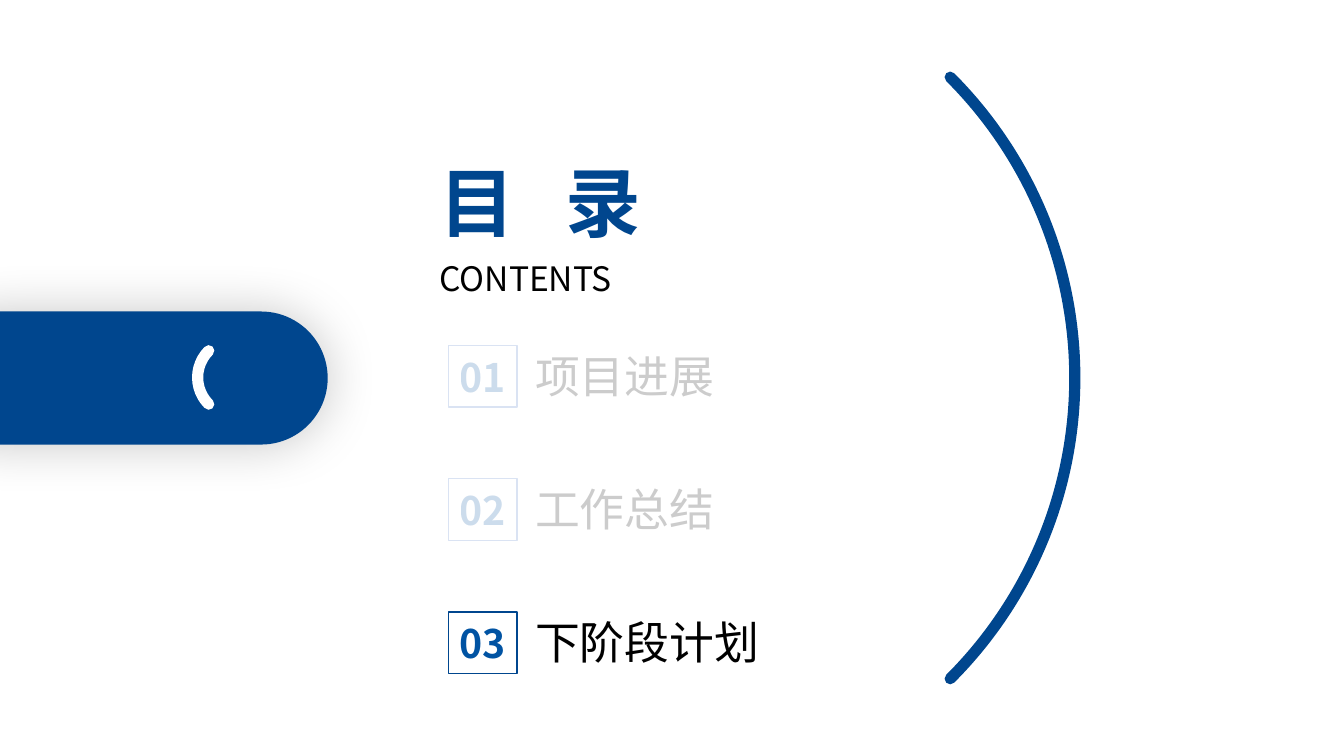
from pptx import Presentation
from pptx import util as u
from pptx.dml.color import RGBColor
from pptx.enum import shapes, text
from pptx.oxml import ns
from lxml import etree

FONT = "Noto Sans CJK SC"
NAVY, BLUE, PALE, BLACK, WHITE = "00468E", "0053A3", "DAE3F3", "000000", "FFFFFF"
SHAPE = shapes.MSO_SHAPE
ALIGN = text.PP_ALIGN


def color(value):
    """Turn a hex string into a colour."""
    return RGBColor.from_string(value)


def box_lengths(box):
    """Turn left, top, width and height in inches into lengths."""
    return [u.Inches(value) for value in box]


def add_element(parent, tag, **attributes):
    """Append a DrawingML element with the given attributes."""
    element = etree.SubElement(parent, ns.qn(tag))
    for name, value in attributes.items():
        element.set(name, str(value))
    return element


def write_text(shape, words, size, fill, bold=False, align=ALIGN.LEFT, opacity=100, spacing=0):
    """Write one formatted line of text into a shape."""
    shape.text_frame.word_wrap = True
    paragraph = shape.text_frame.paragraphs[0]
    paragraph.alignment = align
    run = paragraph.add_run()
    run.text = words
    font = run.font
    font.size, font.bold, font.name = u.Pt(size), bold, FONT
    font.color.rgb = color(fill)
    properties = run._r.get_or_add_rPr()
    add_element(properties, "a:ea", typeface=FONT)
    if spacing:
        properties.set("spc", str(spacing * 100))
    if opacity < 100:
        hex_color = properties.find(".//" + ns.qn("a:srgbClr"))
        add_element(hex_color, "a:alpha", val=opacity * 1000)


def add_text(container, box, words, **style):
    """Add a text box that grows with its text."""
    shape = container.add_textbox(*box_lengths(box))
    write_text(shape, words, **style)
    shape.text_frame.auto_size = text.MSO_AUTO_SIZE.SHAPE_TO_FIT_TEXT


def add_shape(container, kind, box, fill=None, line=None, width=1):
    """Add a preset shape with a plain fill and outline."""
    shape = container.add_shape(kind, *box_lengths(box))
    shape.shadow.inherit = False
    if fill:
        shape.fill.solid()
        shape.fill.fore_color.rgb = color(fill)
    else:
        shape.fill.background()
    if line:
        shape.line.color.rgb = color(line)
        shape.line.width = u.Pt(width)
    else:
        shape.line.fill.background()
    return shape


def add_heading(slide, left, top):
    """Place the title and its subtitle."""
    add_text(slide.shapes, (left, top, 3.24, 1.01), "目 录", size=54, fill=NAVY,
             bold=True, align=ALIGN.JUSTIFY, spacing=12)
    add_text(slide.shapes, (left, top + 1.01, 3.1, 0.5), "CONTENTS", size=24,
             fill=BLACK, align=ALIGN.JUSTIFY)


def add_tab(slide, box):
    """Place the rounded tab with its soft shadow."""
    tab = add_shape(slide.shapes, SHAPE.ROUNDED_RECTANGLE, box, fill=NAVY)
    tab.adjustments[0] = 0.5
    effects = tab._element.spPr.find(ns.qn("a:effectLst"))
    shadow = add_element(effects, "a:outerShdw", blurRad=u.Pt(37), dist=0, dir=0,
                         algn="ctr", rotWithShape=0)
    shade = add_element(shadow, "a:srgbClr", val=BLACK)
    add_element(shade, "a:alpha", val=21000)


def add_arc(slide, box, line, rotation, mirrored=False):
    """Place a thick quarter arc with round ends."""
    arc = add_shape(slide.shapes, SHAPE.ARC, box, line=line, width=8)
    arc.rotation = rotation
    properties = arc._element.spPr
    properties.find(ns.qn("a:ln")).set("cap", "rnd")
    if mirrored:
        properties.find(ns.qn("a:xfrm")).set("flipH", "1")


def add_entry(slide, left, top, number, words, active):
    """Place one agenda entry, faded unless it is active."""
    group = slide.shapes.add_group_shape().shapes
    opacity = 100 if active else 20
    add_text(group, (left + 0.76, top, 5.54, 0.64), words, size=32, fill=BLACK,
             opacity=opacity)
    badge = add_shape(group, SHAPE.RECTANGLE, (left, top + 0.02, 0.68, 0.61),
                      line=NAVY if active else PALE)
    badge.text_frame.vertical_anchor = text.MSO_ANCHOR.MIDDLE
    write_text(badge, f"{number:02}", size=28, fill=BLUE, bold=True,
               align=ALIGN.CENTER, opacity=opacity)


def add_agenda(slide, left, top, entries, current, step=1.32):
    """Place the agenda entries at equal steps."""
    for index, words in enumerate(entries):
        add_entry(slide, left, top + index * step, index + 1, words, index + 1 == current)


def main():
    """Build the contents slide."""
    presentation = Presentation()
    presentation.slide_width, presentation.slide_height = u.Inches(13.33), u.Inches(7.5)
    slide = presentation.slides.add_slide(presentation.slide_layouts[6])
    add_heading(slide, 4.26, 1.5)
    add_tab(slide, (-0.67, 3.09, 3.92, 1.32))
    add_arc(slide, (2.22, -0.47, 8.44, 8.44), NAVY, 45)
    add_arc(slide, (1.96, 3.37, 0.75, 0.75), WHITE, 315, mirrored=True)
    add_agenda(slide, 4.45, 3.41, ["项目进展", "工作总结", "下阶段计划"], current=3)
    presentation.save("out.pptx")


if __name__ == "__main__":
    main()
